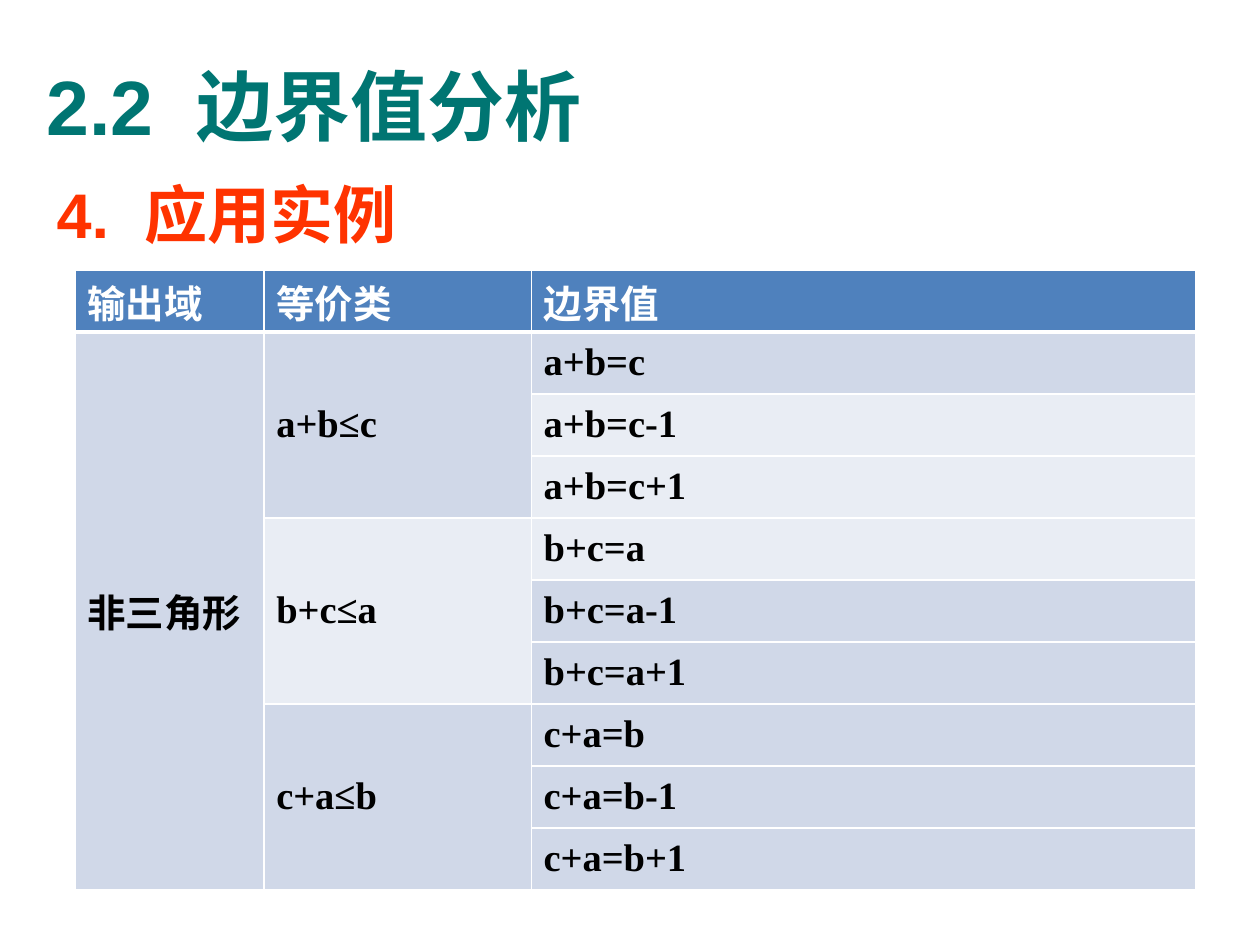
from lxml import etree
from pptx import Presentation
from pptx.dml.color import RGBColor
from pptx.enum.text import MSO_ANCHOR
from pptx.oxml.ns import qn
from pptx.util import Cm, Pt

MIDDLE = MSO_ANCHOR.MIDDLE
TOP = MSO_ANCHOR.TOP

COLORS = {
    "title": "007572",
    "subtitle": "FF3300",
    "header": "4F81BD",
    "dark_band": "D0D8E8",
    "light_band": "E9EDF4",
    "border": "FFFFFF",
    "header_text": "FFFFFF",
    "body_text": "000000",
}

HEADERS = ["输出域", "等价类", "边界值"]
OUTPUT_DOMAIN = "非三角形"
CLASSES = [
    ("a+b≤c", "dark_band", ["a+b=c", "a+b=c-1", "a+b=c+1"]),
    ("b+c≤a", "light_band", ["b+c=a", "b+c=a-1", "b+c=a+1"]),
    ("c+a≤b", "dark_band", ["c+a=b", "c+a=b-1", "c+a=b+1"]),
]
LIGHT_ROWS = range(2, 5)
COLUMN_WIDTHS = [3.81, 5.39, 13.4]
ROW_COUNT = 10
ROW_HEIGHT = 1.25


def style_span(span, font_name, size, color):
    span.font.name = font_name
    span.font.size = Pt(size)
    span.font.bold = True
    span.font.color.rgb = RGBColor.from_string(COLORS[color])


def add_heading(page, number, words, position, size, color, anchor):
    """Add a numbered heading whose single space is twice the normal width."""
    box = page.shapes.add_textbox(*[Cm(length) for length in position])
    frame = box.text_frame
    frame.word_wrap = True
    frame.vertical_anchor = anchor
    para = frame.paragraphs[0]
    for text in (number, " ", words):
        span = para.add_run()
        span.text = text
        style_span(span, "Arial", size, color)
    space_properties = para.runs[1]._r.get_or_add_rPr()
    space_properties.set("spc", str(round(size * 27.8)))
    return para


def set_border(cell, side, width):
    properties = cell._tc.get_or_add_tcPr()
    line = etree.SubElement(properties, qn(f"a:ln{side}"), w=str(Pt(width)))
    fill = etree.SubElement(line, qn("a:solidFill"))
    etree.SubElement(fill, qn("a:srgbClr"), val=COLORS["border"])


def format_cell(cell, row, fill):
    thick_side = {0: "B", 1: "T"}.get(row)
    for side in "LRTB":
        set_border(cell, side, 3 if side == thick_side else 1)
    cell.fill.solid()
    cell.fill.fore_color.rgb = RGBColor.from_string(COLORS[fill])
    cell.vertical_anchor = MIDDLE
    cell.margin_left = cell.margin_right = Cm(0.25)
    cell.margin_top = cell.margin_bottom = Cm(0.08)


def write_cell(cell, text, color="body_text"):
    cell.text = text
    style_span(cell.text_frame.paragraphs[0].runs[0], "Times New Roman", 22, color)


def add_boundary_table(page):
    frame = page.shapes.add_table(
        ROW_COUNT, len(HEADERS), Cm(1.51), Cm(5.44),
        Cm(sum(COLUMN_WIDTHS)), Cm(ROW_COUNT * ROW_HEIGHT))
    table = frame.table
    for column, width in zip(table.columns, COLUMN_WIDTHS):
        column.width = Cm(width)
    for row in table.rows:
        row.height = Cm(ROW_HEIGHT)

    for column, header in enumerate(HEADERS):
        format_cell(table.cell(0, column), 0, "header")
        write_cell(table.cell(0, column), header, "header_text")

    for index, (name, class_fill, values) in enumerate(CLASSES):
        first = 1 + index * len(values)
        for row, value in enumerate(values, first):
            value_fill = "light_band" if row in LIGHT_ROWS else "dark_band"
            for column, fill in enumerate(("dark_band", class_fill, value_fill)):
                format_cell(table.cell(row, column), row, fill)
            write_cell(table.cell(row, 2), value)
        table.cell(first, 1).merge(table.cell(first + len(values) - 1, 1))
        write_cell(table.cell(first, 1), name)

    table.cell(1, 0).merge(table.cell(ROW_COUNT - 1, 0))
    write_cell(table.cell(1, 0), OUTPUT_DOMAIN)


def main():
    deck = Presentation()
    deck.slide_width, deck.slide_height = Cm(25.4), Cm(19.05)
    page = deck.slides.add_slide(deck.slide_layouts[6])
    subtitle = add_heading(page, "4.", "应用实例", (0.89, 3.33, 23.8, 15.01),
                           36, "subtitle", TOP)
    subtitle.line_spacing = 1.05
    add_heading(page, "2.2", "边界值分析", (0.69, 0.53, 23.72, 3.18),
                44, "title", MIDDLE)
    add_boundary_table(page)
    deck.save("out.pptx")


if __name__ == "__main__":
    main()
